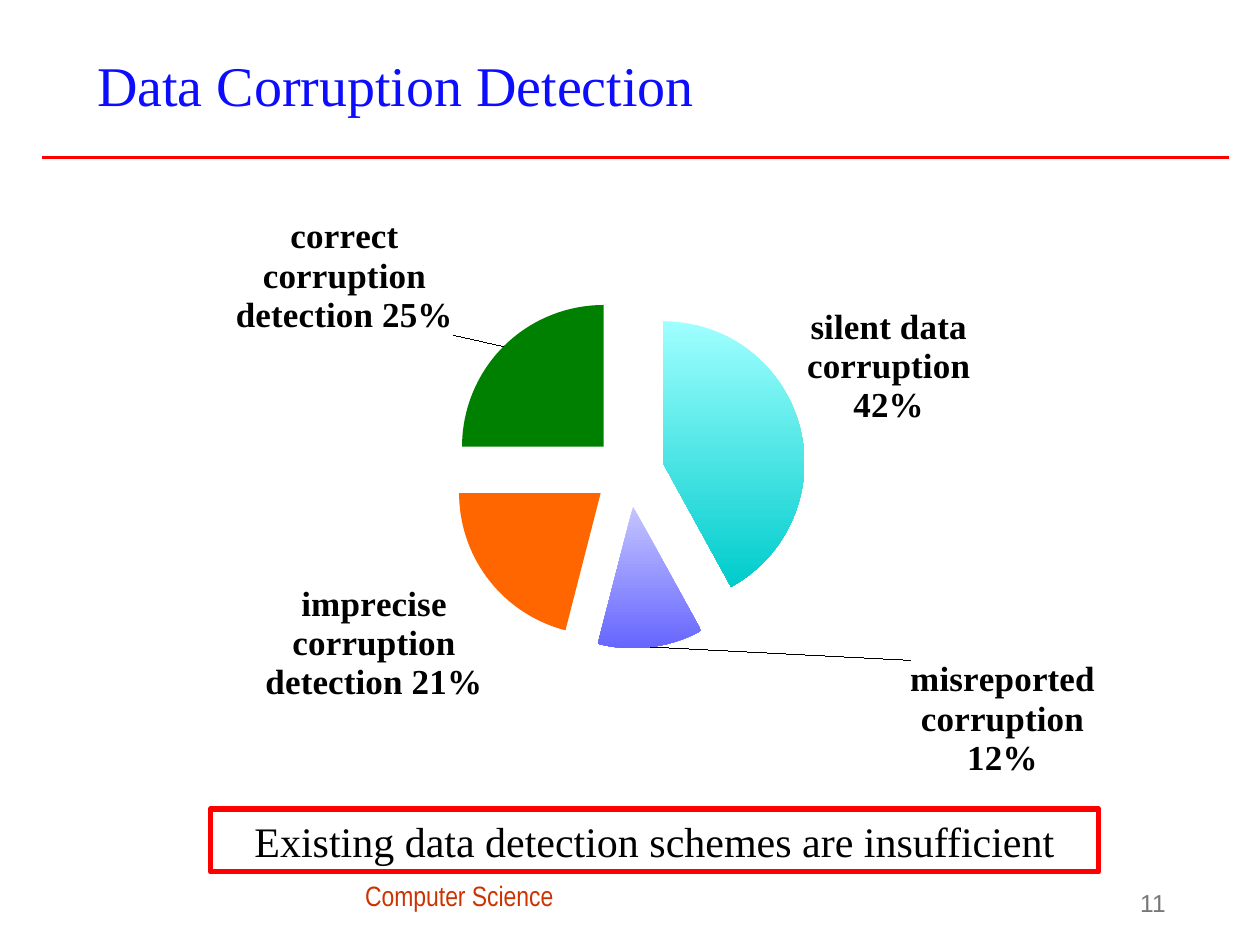
from copy import deepcopy
from dataclasses import dataclass

from lxml.etree import SubElement
from pptx import Presentation
from pptx.chart.data import CategoryChartData
from pptx.dml.color import RGBColor
from pptx.enum.chart import XL_CHART_TYPE, XL_LABEL_POSITION
from pptx.enum.shapes import MSO_CONNECTOR, MSO_SHAPE
from pptx.enum.text import MSO_ANCHOR, MSO_AUTO_SIZE, PP_ALIGN
from pptx.oxml import parse_xml
from pptx.oxml.ns import nsdecls, qn
from pptx.util import Inches, Pt


@dataclass(frozen=True)
class Theme:
    """Colours, fonts and type sizes of the slide."""
    title: str = "0C0CFF"
    accent: str = "FF0000"
    footer: str = "CC3300"
    number: str = "777777"
    ink: str = "000000"
    serif: str = "Times New Roman"
    narrow: str = "Arial Narrow"
    sans: str = "Arial"
    title_size: int = 32
    message_size: int = 24
    label_size: int = 20
    footer_size: int = 16
    number_size: int = 14


def apply(target, values):
    """Set each named attribute of the target."""
    for name, value in values.items():
        setattr(target, name, value)


class SlideBuilder:
    """Draws elements on a grid of 100 columns by 75 rows."""

    def __init__(self, deck, theme):
        """Open a title-only slide and measure its grid cell."""
        apply(deck, {"slide_width": Inches(10), "slide_height": Inches(7.5)})
        self.theme = theme
        self.cell = deck.slide_width / 100
        self.slide = deck.slides.add_slide(deck.slide_layouts[5])
        self.shapes = self.slide.shapes

    def place(self, *cells):
        """Turn grid cells into slide lengths."""
        return [round(count * self.cell) for count in cells]

    def fill_text(self, shape, text, font, size, color, align=PP_ALIGN.LEFT, **frame):
        """Put one formatted paragraph into a shape."""
        apply(shape.text_frame, {"word_wrap": True, "auto_size": MSO_AUTO_SIZE.NONE, **frame})
        paragraph = shape.text_frame.paragraphs[0]
        paragraph.alignment = align
        run = paragraph.add_run()
        run.text = text
        apply(run.font, {"name": font, "size": Pt(size)})
        run.font.color.rgb = RGBColor.from_string(color)

    def title(self, text, *cells):
        """Move and fill the title placeholder."""
        heading = self.shapes.title
        apply(heading, dict(zip(("left", "top", "width", "height"), self.place(*cells))))
        self.fill_text(heading, text, self.theme.serif, self.theme.title_size, self.theme.title,
                       vertical_anchor=MSO_ANCHOR.MIDDLE)

    def text(self, text, cells, *style, **layout):
        """Add a text box."""
        self.fill_text(self.shapes.add_textbox(*self.place(*cells)), text, *style, **layout)

    def rule(self, *cells):
        """Add a straight divider."""
        divider = self.shapes.add_connector(MSO_CONNECTOR.STRAIGHT, *self.place(*cells))
        divider.line.color.rgb = RGBColor.from_string(self.theme.accent)
        divider.line.width = Pt(1.5)
        SubElement(divider._element.spPr, qn("a:effectLst"))

    def message(self, text, *cells):
        """Add an outlined conclusion."""
        frame = self.shapes.add_shape(MSO_SHAPE.RECTANGLE, *self.place(*cells))
        frame.shadow.inherit = False
        frame.fill.background()
        frame.line.color.rgb = RGBColor.from_string(self.theme.accent)
        frame.line.width = Pt(3)
        self.fill_text(frame, text, self.theme.serif, self.theme.message_size, self.theme.ink,
                       PP_ALIGN.CENTER, vertical_anchor=MSO_ANCHOR.MIDDLE)

    def pie(self, outcomes, *cells):
        """Add an exploded pie with labelled slices."""
        data = CategoryChartData(number_format="0%")
        data.categories = [outcome for outcome, *_ in outcomes]
        data.add_series("Series 1", [share for _, share, *_ in outcomes])
        chart = self.shapes.add_chart(XL_CHART_TYPE.PIE, *self.place(*cells), data).chart
        apply(chart, {"has_legend": False, "has_title": False})
        apply(chart.font, {"name": self.theme.serif, "size": Pt(self.theme.label_size)})
        chart.font.color.rgb = RGBColor.from_string(self.theme.ink)
        plot = chart.plots[0]
        plot.vary_by_categories = True
        series = plot.series[0]
        for index, (_, _, colors, _) in enumerate(outcomes):
            self.color_slice(series.points[index].format, colors)
        series._element.find(qn("c:dPt")).addprevious(
            parse_xml(f'<c:explosion {nsdecls("c")} val="25"/>'))
        self.label_slices(series, [offset for *_, offset in outcomes])
        area = plot._element.getparent()
        for layout in area.findall(qn("c:layout")):
            area.remove(layout)
        area.insert(0, self.layout({"x": 0.35, "y": 0.17, "w": 0.32, "h": 0.59}, inner=True))

    def color_slice(self, style, colors):
        """Fill a slice with one colour or a downward gradient."""
        style.line.fill.background()
        if len(colors) == 1:
            style.fill.solid()
            style.fill.fore_color.rgb = RGBColor.from_string(colors[0])
            return
        style.fill.gradient()
        style.fill.gradient_angle = 270
        for stop, color in zip(style.fill.gradient_stops, colors):
            stop.color.rgb = RGBColor.from_string(color)

    def label_slices(self, series, offsets):
        """Label every slice and shift those with an offset."""
        labels = series.data_labels
        apply(labels, {"show_value": True, "show_category_name": True, "show_percentage": False,
                       "number_format": "0%", "number_format_is_linked": False,
                       "position": XL_LABEL_POSITION.OUTSIDE_END})
        apply(labels.font, {"name": self.theme.serif, "bold": True,
                            "size": Pt(self.theme.label_size)})
        labels.font.color.rgb = RGBColor.from_string(self.theme.ink)
        group = labels._element
        separator = parse_xml(f'<c:separator {nsdecls("c")}> </c:separator>')
        group.find(qn("c:showBubbleSize")).addnext(separator)
        shared = [part for part in group if part.tag != qn("c:showLeaderLines")]
        shifted = [(index, offset) for index, offset in enumerate(offsets) if offset]
        for position, (index, offset) in enumerate(shifted):
            label = parse_xml(f'<c:dLbl {nsdecls("c")}><c:idx val="{index}"/></c:dLbl>')
            label.append(self.layout(dict(zip("xy", offset))))
            label.extend(deepcopy(part) for part in shared)
            group.insert(position, label)

    def layout(self, shares, inner=False):
        """Make a manual layout from shares of the chart."""
        modes = ('<c:layoutTarget val="inner"/><c:xMode val="edge"/><c:yMode val="edge"/>'
                 if inner else "")
        sizes = "".join(f'<c:{name} val="{share}"/>' for name, share in shares.items())
        return parse_xml(f'<c:layout {nsdecls("c")}><c:manualLayout>{modes}{sizes}'
                         "</c:manualLayout></c:layout>")


def main():
    """Build and save the slide."""
    theme = Theme()
    deck = Presentation()
    page = SlideBuilder(deck, theme)
    page.text("Computer Science", (28, 69.2, 17, 3.7),
              theme.narrow, theme.footer_size, theme.footer)
    page.rule(3.3, 12.5, 97.5, 12.5)
    page.title("Data Corruption Detection", 6.7, 1.7, 90.1, 10)
    page.text("11", (72.7, 70, 20.8, 3.3), theme.sans, theme.number_size, theme.number,
              align=PP_ALIGN.RIGHT, vertical_anchor=MSO_ANCHOR.MIDDLE)
    page.pie([
        ("silent data corruption", 0.42, ("A0FFFF", "00CCCC"), None),
        ("misreported corruption", 0.12, ("C4C4FF", "6666FF"), (0.23, 0.01)),
        ("imprecise corruption detection", 0.21, ("FF6600",), None),
        ("correct corruption detection", 0.25, ("008000",), (-0.04, -0.01)),
    ], 4.4, 15.3, 89.2, 47.6)
    page.message("Existing data detection schemes are insufficient", 16.7, 64.2, 70.5, 5)
    deck.save("out.pptx")


if __name__ == "__main__":
    main()
